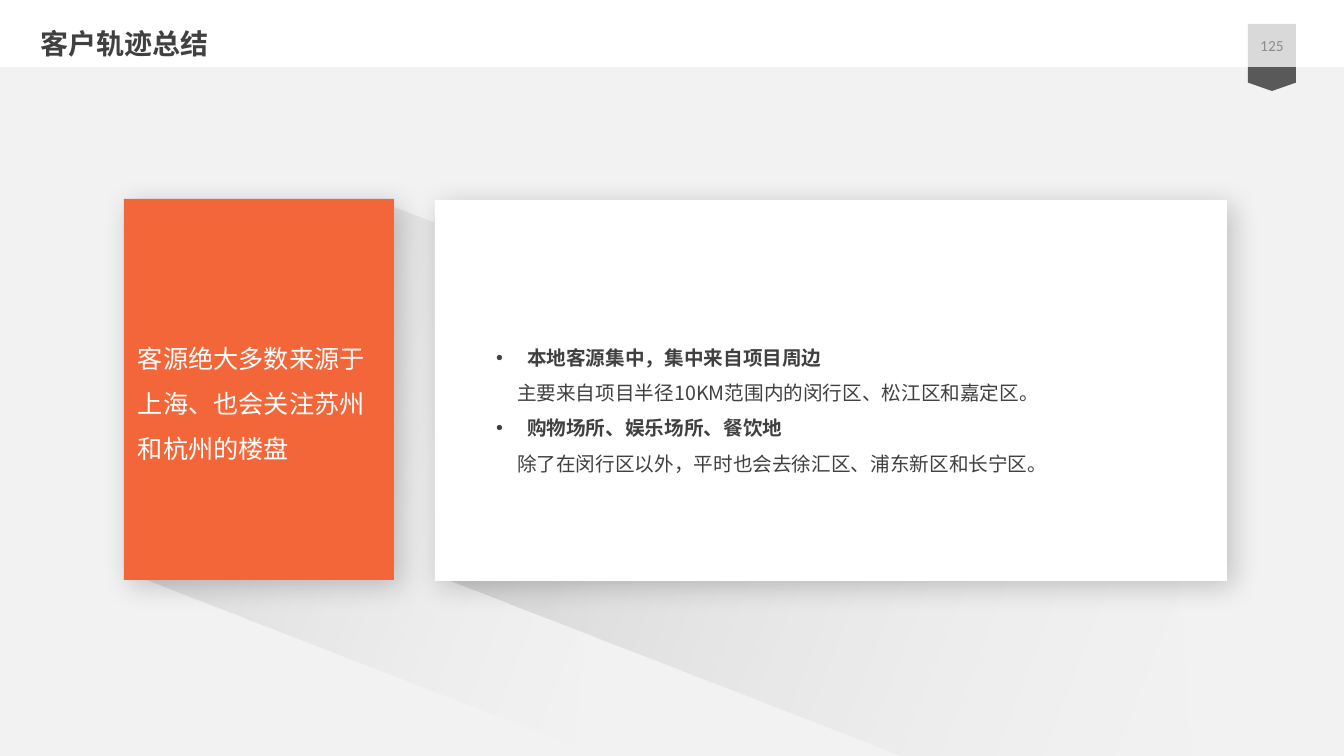
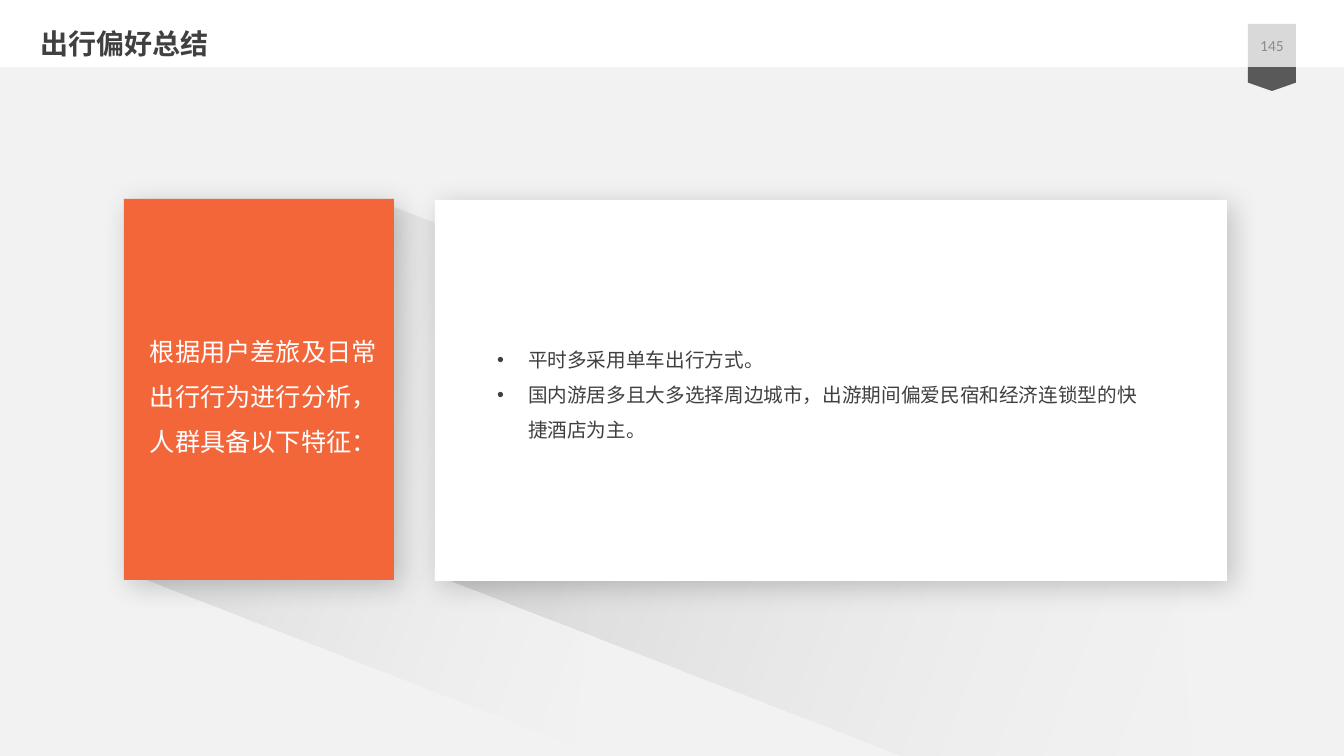
import math

import pptx
import pptx.dml.color
import pptx.enum.shapes
import pptx.enum.text
import pptx.oxml
import pptx.oxml.ns
import pptx.util

RGB = pptx.dml.color.RGBColor
KIND = pptx.enum.shapes.MSO_SHAPE
ANCHOR = pptx.enum.text.MSO_ANCHOR
ALIGN = pptx.enum.text.PP_ALIGN

WHITE = RGB(0xFF, 0xFF, 0xFF)
BLACK = RGB(0x00, 0x00, 0x00)
PALE = RGB(0xF2, 0xF2, 0xF2)
LIGHT = RGB(0xD9, 0xD9, 0xD9)
GRAY = RGB(0x8C, 0x8C, 0x8C)
DARK = RGB(0x59, 0x59, 0x59)
INK = RGB(0x40, 0x40, 0x40)
UMBER = RGB(0x3B, 0x38, 0x38)
ORANGE = RGB(0xF3, 0x66, 0x39)

HAN = "Noto Sans CJK SC"
LATIN = "Calibri"
SCALE = 914400 / 100.8
TURN = 291.2


def px(size):
    return pptx.util.Emu(round(size * SCALE))


def node(parent, tag, **attrs):
    child = pptx.oxml.parse_xml(f"<a:{tag} {pptx.oxml.ns.nsdecls('a')}/>")
    for key, value in attrs.items():
        child.set(key, str(value))
    parent.append(child)
    return child


class Deck:
    """Holds the shared style and the current slide."""

    def __init__(self):
        self.prs = pptx.Presentation()
        self.prs.slide_width, self.prs.slide_height = px(1344), px(756)
        self.layout = self.prs.slide_layouts[1]
        self.slide = None

    def start(self, title, number):
        first = self.slide is None
        self.slide = self.prs.slides.add_slide(self.layout)
        if first:
            self.frame()
        head = self.slide.shapes.title
        self.place(head, 30, 21, 1142, 44)
        self.label(head.text_frame.paragraphs[0], title, 20, INK, bold=True)
        box = self.slide.shapes.add_textbox(px(1248), px(24), px(48), px(43))
        box.text_frame.word_wrap = True
        box.text_frame.vertical_anchor = ANCHOR.MIDDLE
        para = box.text_frame.paragraphs[0]
        self.label(para, number, 11, GRAY, face=LATIN)
        para.alignment = ALIGN.CENTER

    def frame(self):
        back = self.block(0, 0, 1344, 756, PALE)
        ribbon = self.block(1260, 55, 24, 48, DARK, KIND.PENTAGON)
        ribbon.rotation = 90
        ribbon.adjustments[0] = 0.35
        band = self.block(0, 0, 1344, 67, WHITE)
        tab = self.block(1248, 24, 48, 43, LIGHT)
        for index, part in enumerate((back, ribbon, band, tab), 101):
            part.element.xpath(".//p:cNvPr")[0].set("id", str(index))
            self.layout.shapes.element.append(part.element)

    def place(self, shape, x, y, w, h):
        shape.left, shape.top, shape.width, shape.height = map(px, (x, y, w, h))
        frame = shape.text_frame
        frame.word_wrap = True
        frame.auto_size = pptx.enum.text.MSO_AUTO_SIZE.NONE
        frame.vertical_anchor = ANCHOR.TOP

    def block(self, x, y, w, h, fill, kind=KIND.RECTANGLE):
        shape = self.slide.shapes.add_shape(kind, px(x), px(y), px(w), px(h))
        shape.shadow.inherit = False
        shape.fill.solid()
        shape.fill.fore_color.rgb = fill
        shape.line.fill.background()
        return shape

    def card(self, x, y, w, h, fill):
        shape = self.block(x, y, w, h, fill)
        effect = shape.element.spPr.find(pptx.oxml.ns.qn("a:effectLst"))
        shade = node(effect, "outerShdw", blurRad=pptx.util.Pt(20),
                     dist=pptx.util.Pt(6), dir=2700000, algn="tl", rotWithShape=0)
        node(node(shade, "srgbClr", val=BLACK), "alpha", val=20000)

    def beam(self, center, points):
        cx, cy = center
        cos, sin = math.cos(math.radians(TURN)), math.sin(math.radians(TURN))
        flat = [(round(cx + (x - cx) * cos + (y - cy) * sin),
                 round(cy - (x - cx) * sin + (y - cy) * cos)) for x, y in points]
        outline = self.slide.shapes.build_freeform(*flat[0], scale=SCALE)
        outline.add_line_segments(flat[1:], close=True)
        shape = outline.convert_to_shape()
        shape.rotation = TURN
        shape.shadow.inherit = False
        shape.line.fill.background()
        shape.fill.gradient()
        shape.fill.gradient_angle = 270
        for stop, spot, color in zip(shape.fill.gradient_stops, (0, 1), (UMBER, PALE)):
            stop.position = spot
            stop.color.rgb = color
        fades = shape.element.spPr.xpath("./a:gradFill//a:srgbClr")
        for color, alpha in zip(fades, (20000, 0)):
            node(color, "alpha", val=alpha)

    def label(self, para, text, size, color, bold=False, face=HAN, gap=None):
        para.text = text
        para.alignment = ALIGN.LEFT
        para.space_before = pptx.util.Pt(0)
        if gap:
            para.line_spacing = gap
        font = para.font
        font.size, font.bold, font.name = pptx.util.Pt(size), bold, face
        font.color.rgb = color
        base = para._p.pPr.find(pptx.oxml.ns.qn("a:defRPr"))
        node(base, "ea", typeface=face)

    def cards(self):
        self.beam((897, 520), [(581, 203), (762, 234), (1165, 390), (1200, 872), (436, 576)])
        self.beam((433, 457), [(279, 203), (389, 206), (620, 295), (573, 746), (134, 576)])
        self.card(124, 199, 270, 381, ORANGE)
        self.card(435, 200, 792, 381, WHITE)

    def lead(self, x, y, w, h, text):
        box = self.slide.shapes.add_textbox(0, 0, 0, 0)
        self.place(box, x, y, w, h)
        self.label(box.text_frame.paragraphs[0], text, 18, WHITE, gap=1.5)

    def points(self, x, y, w, h, items):
        body = self.slide.placeholders[1]
        self.place(body, x, y, w, h)
        self.slide.shapes.element.append(body.element)
        frame = body.text_frame
        for index, (text, dot, bold) in enumerate(items):
            para = frame.add_paragraph() if index else frame.paragraphs[0]
            para.level = 1
            props = para._p.get_or_add_pPr()
            props.set("marL", str(px(82 if dot else 72)))
            props.set("indent", str(px(-31 if dot else 0)))
            if dot:
                node(props, "buFont", typeface="Arial")
                node(props, "buChar", char="•")
            else:
                node(props, "buNone")
            self.label(para, text, 14, INK, bold, gap=1.5)


def main():
    deck = Deck()

    deck.start("客户轨迹总结", "125")
    deck.cards()
    deck.lead(128, 323, 268, 142, "客源绝大多数来源于上海、也会关注苏州和杭州的楼盘")
    deck.points(435, 329, 764, 152, [
        ("本地客源集中，集中来自项目周边", True, True),
        ("主要来自项目半径10KM范围内的闵行区、松江区和嘉定区。", False, False),
        ("购物场所、娱乐场所、餐饮地", True, True),
        ("除了在闵行区以外，平时也会去徐汇区、浦东新区和长宁区。", False, False),
    ])

    deck.start("出行偏好总结", "145")
    deck.cards()
    deck.lead(140, 316, 250, 147, "根据用户差旅及日常出行行为进行分析，人群具备以下特征：")
    deck.points(436, 331, 731, 117, [
        ("平时多采用单车出行方式。", True, False),
        ("国内游居多且大多选择周边城市，出游期间偏爱民宿和经济连锁型的快捷酒店为主。", True, False),
    ])

    deck.prs.save("out.pptx")


if __name__ == "__main__":
    main()
